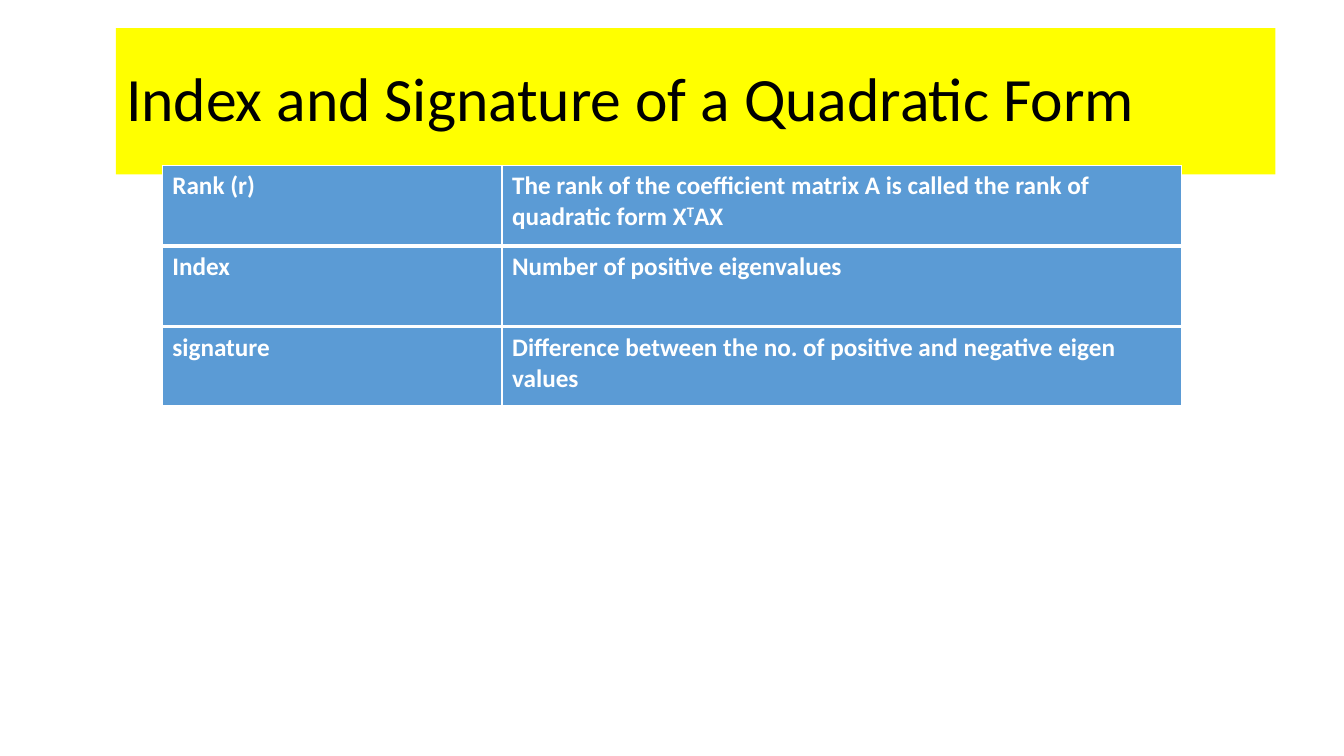
from lxml import etree
from pptx import Presentation
from pptx.dml.color import RGBColor
from pptx.enum import text
from pptx.oxml.ns import qn
from pptx.util import Inches, Pt

YELLOW = RGBColor(0xFF, 0xFF, 0x00)
BLACK = RGBColor(0x00, 0x00, 0x00)
BLUE = RGBColor(0x5B, 0x9B, 0xD5)
WHITE = RGBColor(0xFF, 0xFF, 0xFF)
EDGES = {"lnL": 1, "lnR": 1, "lnT": 1, "lnB": 3}


def edge(cell):
    """Give the cell white borders, placed ahead of its fill."""
    props = cell._tc.get_or_add_tcPr()
    for spot, (tag, width) in enumerate(EDGES.items()):
        line = etree.Element(qn(f"a:{tag}"), w=str(Pt(width)))
        fill = etree.SubElement(line, qn("a:solidFill"))
        etree.SubElement(fill, qn("a:srgbClr"), val=str(WHITE))
        props.insert(spot, line)


deck = Presentation()
deck.slide_width, deck.slide_height = Inches(13.33), Inches(7.5)
slide = deck.slides.add_slide(deck.slide_layouts[5])

title = slide.shapes.title
title.left, title.top = Inches(1.15), Inches(0.28)
title.width, title.height = Inches(11.5), Inches(1.45)
title.fill.solid()
title.fill.fore_color.rgb = YELLOW
frame = title.text_frame
frame.text = "Index and Signature of a Quadratic Form"
frame.word_wrap = True
frame.auto_size = text.MSO_AUTO_SIZE.NONE
frame.vertical_anchor = text.MSO_ANCHOR.MIDDLE
head = frame.paragraphs[0]
head.alignment = text.PP_ALIGN.LEFT
head.line_spacing = 0.9
head.font.size = Pt(44)
head.font.name = "Calibri"
head.font.color.rgb = BLACK

# Each term has its own table; the text after each "^" mark toggles superscript.
terms = [
    (2.44, 0.8, "Index", "Number of positive eigenvalues"),
    (3.25, 0.79, "signature",
     "Difference between the no. of positive and negative eigen values"),
    (1.64, 0.8, "Rank (r)",
     "The rank of the coefficient matrix A is called the rank of "
     "quadratic form X^T^AX"),
]
for top, height, *words in terms:
    grid = slide.shapes.add_table(
        1, 2, Inches(1.61), Inches(top), Inches(10.11), Inches(height)).table
    for col, width in zip(grid.columns, (3.37, 6.74)):
        col.width = Inches(width)
    for cell, word in zip(grid.rows[0].cells, words):
        cell.fill.solid()
        cell.fill.fore_color.rgb = BLUE
        edge(cell)
        para = cell.text_frame.paragraphs[0]
        para.font.size = Pt(18)
        para.font.name = "Calibri"
        para.font.bold = True
        para.font.color.rgb = WHITE
        for i, part in enumerate(word.split("^")):
            run = para.add_run()
            run.text = part
            if i % 2:
                run._r.get_or_add_rPr().set("baseline", "30000")

deck.save("out.pptx")
